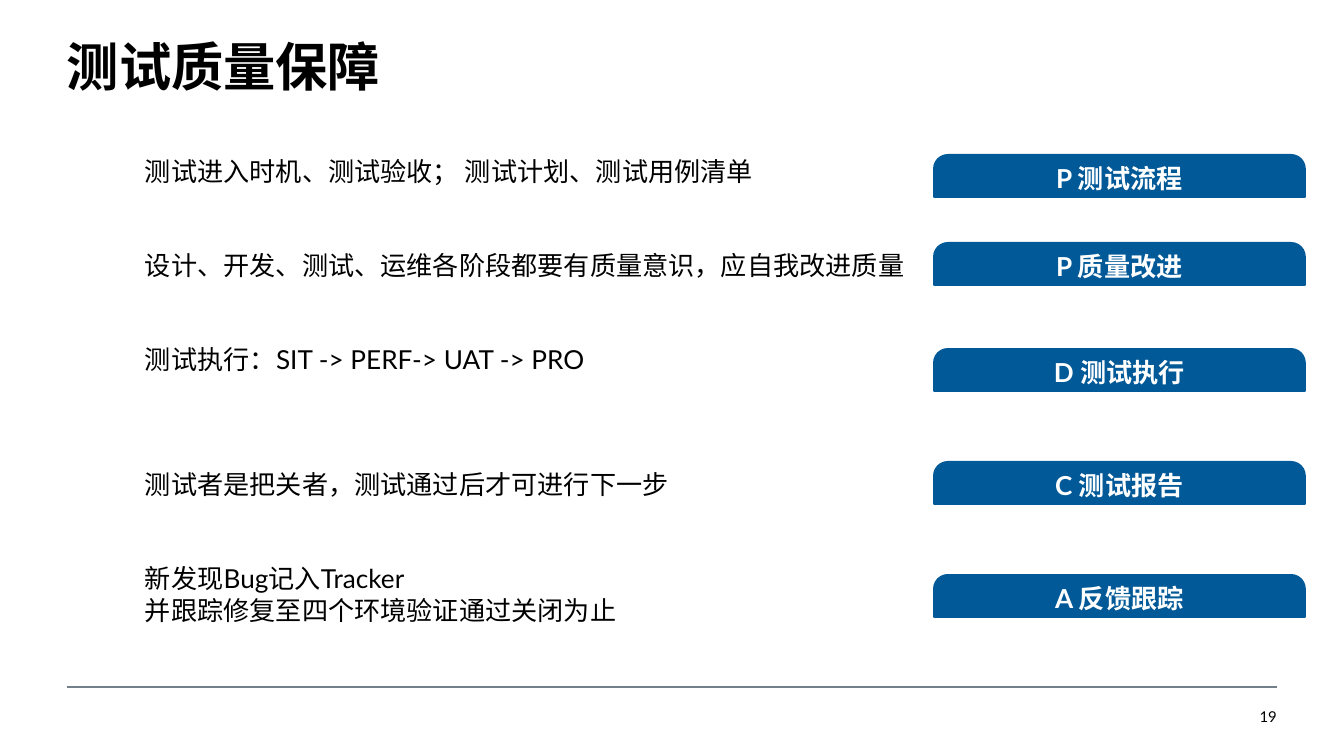
from pptx import Presentation, util as u
from pptx.dml.color import RGBColor
from pptx.enum import shapes, text
from pptx.oxml.ns import qn
from lxml import etree

SCALE = 914400 / 134.4
HUES = {"ink": "000000", "blue": "015998", "white": "FFFFFF", "rule": "72808A"}
ALIGN = text.PP_ALIGN
TITLE = "测试质量保障"
# Space before in blank lines, then text
NOTES = [
    (0, "测试进入时机、测试验收； 测试计划、测试用例清单"),
    (2, "设计、开发、测试、运维各阶段都要有质量意识，应自我改进质量"),
    (2, "测试执行：SIT -> PERF-> UAT -> PRO"),
    (3, "测试者是把关者，测试通过后才可进行下一步"),
    (2, "新发现Bug记入Tracker"),
    (0, "并跟踪修复至四个环境验证通过关闭为止"),
]
# Top within the column, then label
TAGS = [(0, "P 测试流程"), (88, "P 质量改进"), (194, "D 测试执行"),
        (307, "C 测试报告"), (420, "A 反馈跟踪")]
LINE = 16.8


def px(*nums):
    return [u.Emu(round(n * SCALE)) for n in nums]


def hue(name):
    return RGBColor.from_string(HUES[name])


def setup(frame, inset=0, anchor=text.MSO_ANCHOR.TOP, wrap=True):
    gap = px(inset)[0]
    frame.margin_left = frame.margin_right = gap
    frame.margin_top = frame.margin_bottom = gap
    frame.vertical_anchor = anchor
    frame.auto_size = text.MSO_AUTO_SIZE.NONE
    frame.word_wrap = wrap


def write(para, words, size, color="ink", bold=False, align=ALIGN.LEFT):
    para.alignment = align
    run = para.add_run()
    run.text = words
    font = run.font
    font.name, font.size, font.bold = "Lato", u.Pt(size), bold
    font.color.rgb = hue(color)


def head(slide, x, y, w, h):
    title = slide.shapes.title
    title.left, title.top, title.width, title.height = px(x, y, w, h)
    setup(title.text_frame)
    para = title.text_frame.paragraphs[0]
    para.line_spacing = 0.96
    write(para, TITLE, 28, bold=True)


def notes(slide, x, y, w, h):
    frame = slide.shapes.add_textbox(*px(x, y, w, h)).text_frame
    setup(frame)
    for i, (blank, words) in enumerate(NOTES):
        para = frame.add_paragraph() if i else frame.paragraphs[0]
        para.space_before = u.Pt(blank * LINE)
        write(para, words, 14)


def tags(slide, x, y, w, h):
    for top, words in TAGS:
        tag = slide.shapes.add_shape(
            shapes.MSO_SHAPE.ROUND_2_SAME_RECTANGLE, *px(x, y + top, w, h))
        tag.adjustments[0], tag.adjustments[1] = 0.33, 0
        tag.shadow.inherit = False
        tag.fill.solid()
        tag.fill.fore_color.rgb = hue("blue")
        tag.line.color.rgb = hue("blue")
        tag.line.width = u.Pt(1)
        setup(tag.text_frame, 5, text.MSO_ANCHOR.MIDDLE)
        write(tag.text_frame.paragraphs[0], words, 14, "white", True, ALIGN.CENTER)


def foot(slide, x, y, w):
    # Rule
    rule = slide.shapes.add_connector(
        shapes.MSO_CONNECTOR.STRAIGHT, *px(x, y, x + w, y))
    rule.line.color.rgb = hue("rule")
    rule.line.width = u.Pt(0.75)
    etree.SubElement(rule._element.spPr, qn("a:effectLst"))
    # Page number
    page = slide.shapes.add_textbox(*px(x + w - 18, y + 21, 18, 18))
    setup(page.text_frame, wrap=False)
    write(page.text_frame.paragraphs[0], "19", 8, align=ALIGN.RIGHT)


deck = Presentation()
deck.slide_width, deck.slide_height = px(1344, 756)
slide = deck.slides.add_slide(deck.slide_layouts[5])
foot(slide, 67, 687, 1210)
head(slide, 67, 38, 1210, 117)
notes(slide, 145, 155, 762, 474)
tags(slide, 934, 155, 371, 42)
deck.save("out.pptx")
